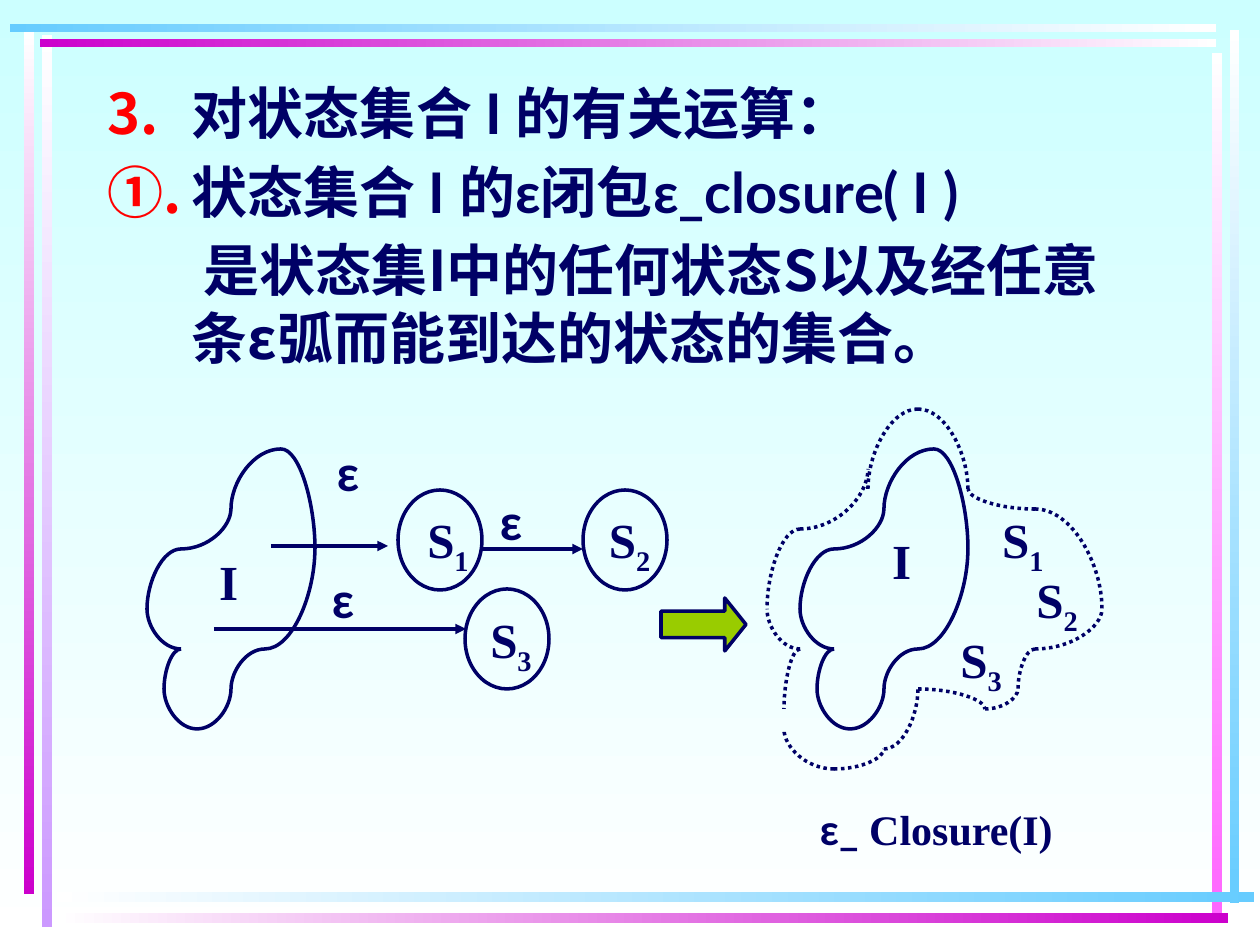
import pptx
import pptx.dml.color
import pptx.enum.dml
import pptx.enum.shapes
import pptx.enum.text
import pptx.oxml.ns
import pptx.util
from lxml import etree

EMU_PER_PX = 914400 / 126
COLORS = {
    "ink": "000066", "bullet": "FF0000", "arrow": "99CC00", "white": "FFFFFF",
    "sky": "CCFFFF", "blue": "66CCFF", "magenta": "CC00CC", "pink": "FF66FF",
    "lilac": "CC99FF",
}
SANS, CJK, SERIF = "Lato", "Noto Sans CJK SC", "Times New Roman"
LEFT, CENTER = pptx.enum.text.PP_ALIGN.LEFT, pptx.enum.text.PP_ALIGN.CENTER
SHAPES = pptx.enum.shapes.MSO_SHAPE
DOWN, RIGHTWARD = 270, 0

# Quarter ellipses: each leaves its first point level and reaches its second upright.
STATE_SET = [
    (118, 200, 168, 100), (118, 200, 84, 240), (134, 0, 168, 100),
    (50, 280, 17, 240), (50, 280, 84, 240), (134, 0, 84, 60),
    (34, 100, 84, 60), (34, 100, 0, 160), (34, 200, 0, 160), (34, 200, 17, 240),
]
CLOSURE = [
    (151, 0, 101, 80), (151, 0, 201, 80), (268, 100, 335, 200),
    (268, 240, 335, 200), (268, 100, 201, 80), (268, 240, 251, 280),
    (218, 300, 251, 280), (151, 280, 218, 300), (33, 120, 101, 60),
    (33, 120, 0, 200), (33, 240, 0, 200), (33, 240, 17, 300),
    (67, 360, 17, 320), (117, 340, 151, 280), (67, 360, 117, 340),
]


def emu(px):
    return pptx.util.Emu(round(px * EMU_PER_PX))


def rgb(name):
    return pptx.dml.color.RGBColor.from_string(COLORS[name])


def add_xml(parent, tag, **attributes):
    return etree.SubElement(parent, pptx.oxml.ns.qn(tag), attributes)


class SlideBuilder:
    def __init__(self, slide):
        self.slide = slide
        self.shapes = slide.shapes

    def gradient(self, fill, first, last, angle):
        fill.gradient()
        fill.gradient_angle = angle
        for stop, color in zip(fill.gradient_stops, (first, last)):
            stop.color.rgb = rgb(color)

    def outline(self, line, dotted=False):
        line.color.rgb = rgb("ink")
        line.width = pptx.util.Pt(2)
        if dotted:
            line.dash_style = pptx.enum.dml.MSO_LINE.ROUND_DOT

    def shape(self, kind, *box):
        shape = self.shapes.add_shape(kind, *map(emu, box))
        shape.shadow.inherit = False
        return shape

    def bar(self, box, first, last, angle):
        bar = self.shape(SHAPES.RECTANGLE, *box)
        self.gradient(bar.fill, first, last, angle)
        bar.line.fill.background()

    def state(self, left, top):
        circle = self.shape(SHAPES.OVAL, left, top, 84, 100)
        circle.fill.background()
        self.outline(circle.line)

    def block_arrow(self, *box):
        arrow = self.shape(SHAPES.RIGHT_ARROW, *box)
        arrow.adjustments[0], arrow.adjustments[1] = 0.5, 0.4
        arrow.fill.solid()
        arrow.fill.fore_color.rgb = rgb("arrow")
        self.outline(arrow.line)

    def curves(self, left, top, arcs, dotted=False):
        """Draw each quarter ellipse as one open Bezier curve."""
        for x0, y0, x1, y1 in arcs:
            points = [(x0 + 0.55 * (x1 - x0), y0), (x1, y1 + 0.45 * (y0 - y1)), (x1, y1)]
            builder = self.shapes.build_freeform(
                emu(left + x0), emu(top + y0), scale=1.0)
            builder.add_line_segments(
                [(emu(left + x), emu(top + y)) for x, y in points], close=False)
            curve = builder.convert_to_shape()
            curve.shadow.inherit = False
            curve.fill.background()
            self.outline(curve.line, dotted)
            segments = list(curve._element.iter(pptx.oxml.ns.qn("a:lnTo")))
            outline_path = segments[0].getparent()
            bezier = add_xml(outline_path, "a:cubicBezTo")
            for segment in segments:
                bezier.append(segment[0])
                outline_path.remove(segment)

    def transition(self, x0, x1, y):
        arrow = self.shapes.add_connector(
            pptx.enum.shapes.MSO_CONNECTOR.STRAIGHT, emu(x0), emu(y), emu(x1), emu(y))
        self.outline(arrow.line)
        add_xml(arrow.line._get_or_add_ln(), "a:tailEnd", type="triangle")
        add_xml(arrow._element.spPr, "a:effectLst")

    def run(self, paragraph, text, size, font, subscript=False):
        run = paragraph.add_run()
        run.text = text
        run.font.size = pptx.util.Pt(size)
        run.font.bold = True
        run.font.color.rgb = rgb("ink")
        run.font.name = font
        properties = run._r.get_or_add_rPr()
        add_xml(properties, "a:ea", typeface=CJK)
        if subscript:
            properties.set("baseline", "-25000")

    def text_box(self, box, margins):
        frame = self.shapes.add_textbox(*map(emu, box)).text_frame
        frame.word_wrap = True
        frame.margin_left = frame.margin_right = emu(margins[0])
        frame.margin_top = frame.margin_bottom = emu(margins[1])
        return frame

    def label(self, box, text, font, align=LEFT, index="", size=28, ending=""):
        paragraph = self.text_box(box, (1, 1)).paragraphs[0]
        paragraph.alignment = align
        self.run(paragraph, text, size, font)
        if index:
            self.run(paragraph, index, size, font, subscript=True)
        if ending:
            self.run(paragraph, ending, size, SERIF)

    def body(self, box, items):
        frame = self.text_box(box, (13, 6))
        for number, (text, font, numbering) in enumerate(items):
            paragraph = frame.paragraphs[0] if number == 0 else frame.add_paragraph()
            if number:
                paragraph.space_before = pptx.util.Pt(6.4)
            properties = paragraph._p.get_or_add_pPr()
            properties.set("marL", str(emu(84)))
            properties.set("indent", str(emu(-84 if numbering else 12)))
            if numbering:
                color = add_xml(properties, "a:buClr")
                add_xml(color, "a:srgbClr", val=COLORS["bullet"])
                add_xml(properties, "a:buFont", typeface=SANS)
                add_xml(properties, "a:buAutoNum", **numbering)
            else:
                add_xml(properties, "a:buNone")
            self.run(paragraph, text, 32, font)


def main():
    deck = pptx.Presentation()
    deck.slide_width, deck.slide_height = emu(1260), emu(945)
    page = SlideBuilder(deck.slides.add_slide(deck.slide_layouts[6]))
    page.gradient(page.slide.background.fill, "sky", "white", DOWN)

    for box, first, last, angle in [
        ((42, 35, 10, 892), "white", "lilac", DOWN),
        ((24, 32, 10, 862), "white", "magenta", DOWN),
        ((1230, 30, 9, 873), "white", "blue", DOWN),
        ((1212, 53, 10, 861), "white", "pink", DOWN),
        ((57, 892, 1197, 10), "white", "blue", RIGHTWARD),
        ((57, 913, 1171, 10), "white", "magenta", RIGHTWARD),
        ((40, 39, 1176, 8), "magenta", "white", RIGHTWARD),
        ((10, 24, 1206, 8), "blue", "white", RIGHTWARD),
    ]:
        page.bar(box, first, last, angle)

    page.body((95, 73, 1071, 746), [
        ("对状态集合 I 的有关运算：", SANS, {"type": "arabicPeriod", "startAt": "3"}),
        ("状态集合 I 的ε闭包ε_closure( I )", SANS, {"type": "circleNumDbPlain"}),
        ("是状态集I中的任何状态S以及经任意条ε弧而能到达的状态的集合。", CJK, None),
    ])

    page.curves(147, 449, STATE_SET)
    page.curves(800, 449, STATE_SET)
    page.curves(767, 409, CLOSURE, dotted=True)
    for left, top in [(398, 490), (583, 490), (465, 589)]:
        page.state(left, top)
    for x0, x1, y in [(271, 388, 546), (483, 583, 549), (214, 466, 629)]:
        page.transition(x0, x1, y)
    page.block_arrow(661, 598, 85, 53)

    for left, top in [(499, 490), (336, 441), (331, 569)]:
        page.label((left, top, 50, 80), "ε", SANS)
    for left, top in [(868, 529), (195, 551)]:
        page.label((left, top, 67, 80), "I", SERIF, CENTER)
    for left, top, width, index in [
        (404, 509, 88, "1"), (583, 509, 93, "2"), (469, 609, 84, "3"),
        (985, 509, 76, "1"), (1018, 569, 78, "2"), (945, 629, 72, "3"),
    ]:
        page.label((left, top, width, 60), "S", SERIF, CENTER, index)
    page.label((819, 803, 299, 80), "ε_", SANS, size=24, ending=" Closure(I)")

    deck.save("out.pptx")


if __name__ == "__main__":
    main()
